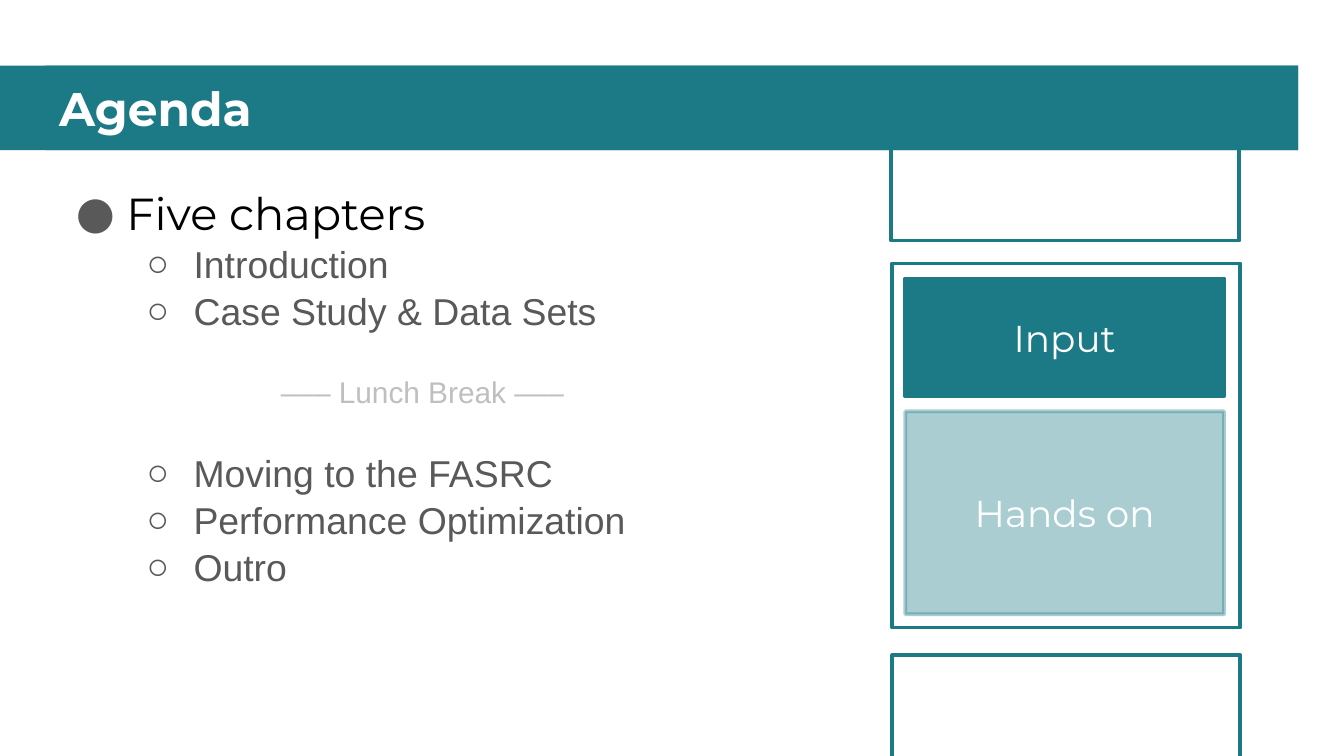
from lxml.etree import SubElement
from pptx import Presentation
from pptx.dml.color import RGBColor
from pptx.enum.shapes import MSO_SHAPE
from pptx.enum.text import MSO_ANCHOR, MSO_AUTO_SIZE, PP_ALIGN
from pptx.oxml.ns import qn
from pptx.util import Pt

COLORS = {"teal": "1B7A86", "white": "FFFFFF", "black": "000000",
          "gray": "595959", "light": "BFBFBF"}


def add_box(left, top, width, height, fill=None, line=None, alpha=None):
    """Add a rectangle; alpha is the opacity in percent."""
    box = page.shapes.add_shape(MSO_SHAPE.RECTANGLE, Pt(left), Pt(top), Pt(width), Pt(height))
    box.shadow.inherit = False
    if fill:
        box.fill.solid()
        box.fill.fore_color.rgb = RGBColor.from_string(COLORS[fill])
    else:
        box.fill.background()
    if line:
        box.line.color.rgb = RGBColor.from_string(COLORS[line])
        box.line.width = Pt(2)
    else:
        box.line.fill.background()
    if alpha:
        for color in box.element.spPr.iter(qn("a:srgbClr")):
            SubElement(color, qn("a:alpha"), val=str(alpha * 1000))
    return box


def write(para, text, size=20, font="Arial", color="gray", bold=False, align=PP_ALIGN.LEFT,
          bullet=None, margin=0, indent=0, before=0, spacing=1.0):
    """Fill a paragraph with one formatted run."""
    props = para._p.get_or_add_pPr()
    props.set("marL", str(Pt(margin)))
    props.set("indent", str(Pt(indent)))
    if bullet:
        bullet_color = SubElement(props, qn("a:buClr"))
        SubElement(bullet_color, qn("a:srgbClr"), val=COLORS["gray"])
        SubElement(props, qn("a:buFont"), typeface=font)
        SubElement(props, qn("a:buChar"), char=bullet)
    else:
        SubElement(props, qn("a:buNone"))
    para.alignment = align
    para.line_spacing = spacing
    para.space_before = Pt(before)
    para.space_after = Pt(0)
    span = para.add_run()
    span.text = text
    span.font.size = Pt(size)
    span.font.name = font
    span.font.bold = bold
    span.font.color.rgb = RGBColor.from_string(COLORS[color])


deck = Presentation()
deck.slide_width, deck.slide_height = Pt(720), Pt(405)
page = deck.slides.add_slide(deck.slide_layouts[1])
title, body = page.placeholders

# Title bar, behind the title
bar = add_box(0, 35.2, 695.5, 45.2, fill="teal")
title.element.addprevious(bar.element)

# Placeholders
for holder, top, height, anchor in [(title, 35.2, 45.2, MSO_ANCHOR.MIDDLE),
                                    (body, 90.7, 245.5, MSO_ANCHOR.TOP)]:
    holder.left, holder.top, holder.width, holder.height = Pt(24.5), Pt(top), Pt(671), Pt(height)
    frame = holder.text_frame
    frame.margin_left = frame.margin_right = frame.margin_top = frame.margin_bottom = Pt(7.2)
    frame.vertical_anchor = anchor
    frame.word_wrap = True
    frame.auto_size = MSO_AUTO_SIZE.NONE
title.fill.solid()
title.fill.fore_color.rgb = RGBColor.from_string(COLORS["teal"])
write(title.text_frame.paragraphs[0], "Agenda", size=25.2, font="Montserrat",
      color="white", bold=True)

# Chapter list
write(body.text_frame.paragraphs[0], "Five chapters", size=24, font="Montserrat", color="black",
      bullet="●", margin=36, indent=-27, spacing=1.05)
chapter = dict(bullet="○", margin=72, indent=-25.2)
lunch = dict(size=16, color="light", margin=118.8, before=20.6)
for text, style in [("Introduction", chapter),
                    ("Case Study & Data Sets", chapter),
                    ("––– Lunch Break –––", lunch),
                    ("Moving to the FASRC", chapter | {"before": 20.6}),
                    ("Performance Optimization", chapter),
                    ("Outro", chapter)]:
    para = body.text_frame.add_paragraph()
    para.level = 1
    write(para, text, spacing=1.05, **style)

# Chapter frames: previous, current and next
for left, top, height in [(477.4, 69.1, 59.8), (478, 141.2, 195), (478, 351, 74.9)]:
    add_box(left, top, 186.5, height, line="teal")

# Parts of the current chapter
for text, top, height, alpha in [("Input", 149.2, 63.2, None), ("Hands on", 220.4, 108.8, 37)]:
    part = add_box(485, top, 170.8, height, fill="teal", line="teal", alpha=alpha)
    part.text_frame.vertical_anchor = MSO_ANCHOR.MIDDLE
    write(part.text_frame.paragraphs[0], text, font="Montserrat", color="white",
          align=PP_ALIGN.CENTER)

deck.save("out.pptx")
